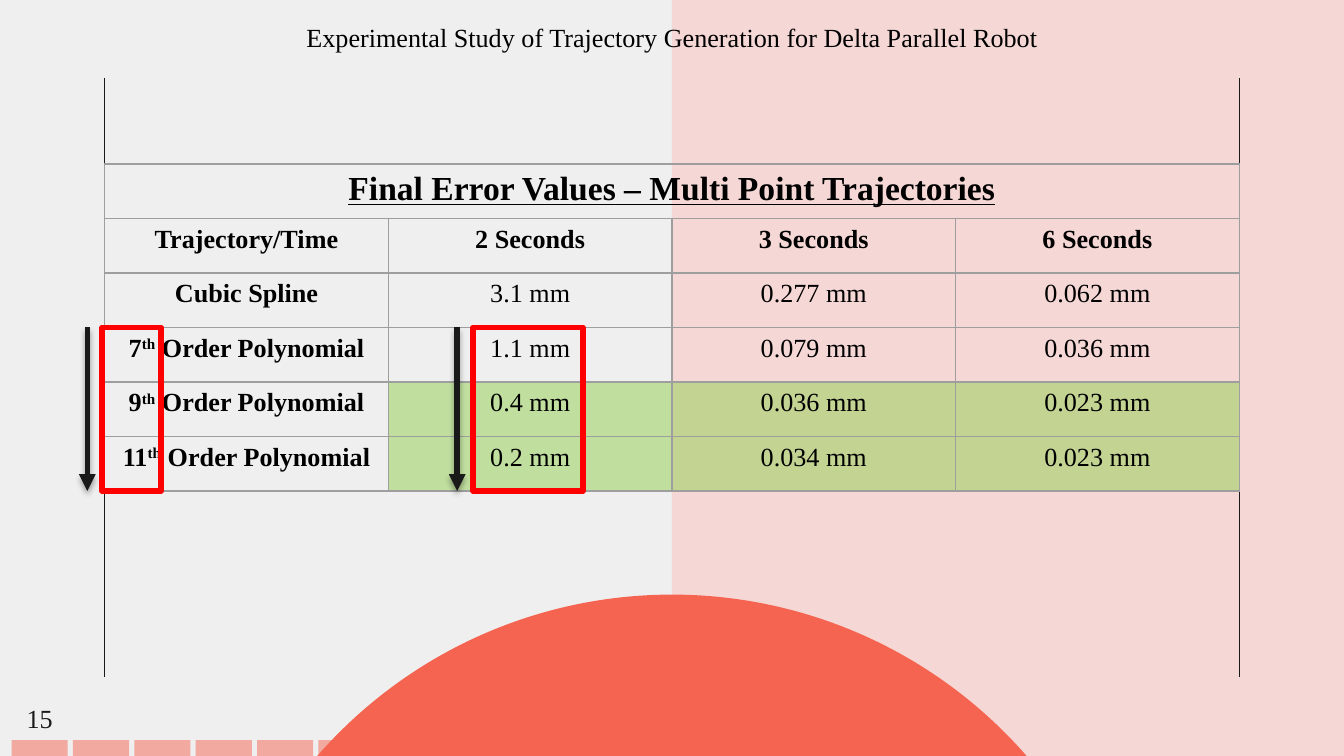
from dataclasses import dataclass

from lxml import etree
from pptx import Presentation
from pptx.dml.color import RGBColor
from pptx.enum import shapes, text
from pptx.oxml import ns, parse_xml
from pptx.util import Cm, Pt

FONT = "Times New Roman"
BLACK = RGBColor(0x00, 0x00, 0x00)
INK = RGBColor(0x19, 0x19, 0x19)
PALE = RGBColor(0xEF, 0xEF, 0xEF)
PINK = RGBColor(0xF5, 0xD7, 0xD5)
CORAL = RGBColor(0xF5, 0x64, 0x50)
GREEN = RGBColor(0x92, 0xD0, 0x50)
GREY = RGBColor(0x9E, 0x9E, 0x9E)
RED = RGBColor(0xFF, 0x00, 0x00)

WIDE, HIGH = 25.4, 14.29
LEFT, TOP = 1.98, 3.1
COL, ROW = 5.36, 1.03
BOTTOM = TOP + 6 * ROW
SHAPE = shapes.MSO_SHAPE


@dataclass
class Row:
    name: str
    cells: tuple[str, ...]
    power: str = ""
    head: bool = False
    best: bool = False


@dataclass
class Trend:
    arrow: float
    left: float
    width: float


ROWS = [
    Row("Trajectory/Time", ("2 Seconds", "3 Seconds", "6 Seconds"), head=True),
    Row("Cubic Spline", ("3.1 mm", "0.277 mm", "0.062 mm")),
    Row(" Order Polynomial", ("1.1 mm", "0.079 mm", "0.036 mm"), "7"),
    Row(" Order Polynomial", ("0.4 mm", "0.036 mm", "0.023 mm"), "9", best=True),
    Row(" Order Polynomial", ("0.2 mm", "0.034 mm", "0.023 mm"), "11", best=True),
]
TRENDS = [Trend(8.64, 8.94, 2.08), Trend(1.65, 1.93, 1.12)]


def fade(props) -> None:
    color = props.find(ns.qn("a:solidFill"))[0]
    etree.SubElement(color, ns.qn("a:alpha"), val="50000")


def draw(slide, kind, x: float, y: float, w: float, h: float,
         fill: RGBColor | None = None, line: RGBColor | None = None):
    shape = slide.shapes.add_shape(kind, Cm(x), Cm(y), Cm(w), Cm(h))
    shape.shadow.inherit = False
    if fill is None:
        shape.fill.background()
    else:
        shape.fill.solid()
        shape.fill.fore_color.rgb = fill
    if line is None:
        shape.line.fill.background()
    else:
        shape.line.color.rgb = line
        shape.line.width = Pt(3)
    return shape


def rule(slide, x: float, y: float, end: float, width: float, arrow: bool = False) -> None:
    line = slide.shapes.add_connector(
        shapes.MSO_CONNECTOR.STRAIGHT, Cm(x), Cm(y), Cm(x), Cm(end))
    line.line.color.rgb = INK
    line.line.width = Pt(width)
    props = line.element.spPr
    effect = etree.SubElement(props, ns.qn("a:effectLst"))
    if arrow:
        stroke = props.find(ns.qn("a:ln"))
        etree.SubElement(stroke, ns.qn("a:tailEnd"), type="triangle")
        shadow = etree.SubElement(
            effect, ns.qn("a:outerShdw"), blurRad="40000", dist="23000",
            dir="5400000", rotWithShape="0")
        color = etree.SubElement(shadow, ns.qn("a:srgbClr"), val=str(BLACK))
        etree.SubElement(color, ns.qn("a:alpha"), val="35000")


def write(frame, words: str, size: int = 14, bold: bool = False,
          line: bool = False, raised: bool = False, color: RGBColor = BLACK) -> None:
    para = frame.paragraphs[0]
    para.alignment = text.PP_ALIGN.CENTER
    run = para.add_run()
    run.text = words
    font = run.font
    font.name, font.size, font.bold, font.underline = FONT, Pt(size), bold, line
    font.color.rgb = color
    if raised:
        run._r.get_or_add_rPr().set("baseline", "30000")


def dress(cell, fill: RGBColor | None = None) -> None:
    props = cell._tc.get_or_add_tcPr()
    for side in "LRTB":
        props.append(parse_xml(
            f'<a:ln{side} {ns.nsdecls("a")} w="9525"><a:solidFill>'
            f'<a:srgbClr val="{GREY}"/></a:solidFill></a:ln{side}>'))
    if fill is None:
        cell.fill.background()
    else:
        cell.fill.solid()
        cell.fill.fore_color.rgb = fill
        fade(props)


def chart_table(slide) -> None:
    table = slide.shapes.add_table(
        6, 4, Cm(LEFT), Cm(TOP), Cm(4 * COL), Cm(6 * ROW)).table
    table.first_row = table.horz_banding = False
    for col in table.columns:
        col.width = Cm(COL)
    for row in table.rows:
        row.height = Cm(ROW)
    for cell in table.iter_cells():
        row, col = divmod(list(table.iter_cells()).index(cell), 4)
        best = row > 0 and col > 0 and ROWS[row - 1].best
        dress(cell, GREEN if best else None)
    table.cell(0, 0).merge(table.cell(0, 3))
    write(table.cell(0, 0).text_frame, "Final Error Values – Multi Point Trajectories",
          18, bold=True, line=True)
    for i, row in enumerate(ROWS, 1):
        frame = table.cell(i, 0).text_frame
        if row.power:
            write(frame, row.power, bold=True)
            write(frame, "th", bold=True, raised=True)
        write(frame, row.name, bold=True)
        for j, words in enumerate(row.cells, 1):
            write(table.cell(i, j).text_frame, words, bold=row.head)


def set_title(slide) -> None:
    title = slide.shapes.title
    title.left, title.top, title.width, title.height = Cm(5.28), Cm(0.28), Cm(14.86), Cm(0.86)
    frame = title.text_frame
    frame.word_wrap = True
    frame.auto_size = text.MSO_AUTO_SIZE.NONE
    frame.vertical_anchor = text.MSO_ANCHOR.MIDDLE
    write(frame, "Experimental Study of Trajectory Generation for Delta Parallel Robot")
    node = title.element
    node.getparent().append(node)


def number(slide) -> None:
    box = slide.shapes.add_textbox(Cm(0.22), Cm(13.15), Cm(1.06), Cm(0.86))
    frame = box.text_frame
    frame.word_wrap = True
    frame.margin_left = frame.margin_right = 0
    frame.vertical_anchor = text.MSO_ANCHOR.MIDDLE
    write(frame, "15", color=INK)


def main() -> None:
    deck = Presentation()
    deck.slide_width, deck.slide_height = Cm(WIDE), Cm(HIGH)
    slide = deck.slides.add_slide(deck.slide_layouts[5])
    back = slide.background.fill
    back.solid()
    back.fore_color.rgb = PALE
    draw(slide, SHAPE.RECTANGLE, WIDE / 2, 0, WIDE / 2, HIGH, PINK)
    for x in (LEFT + 4 * COL, LEFT):
        rule(slide, x, 1.47, 12.8, 0.75)
    draw(slide, SHAPE.OVAL, 3.81, 11.24, 17.78, 17.78, CORAL)
    set_title(slide)
    chart_table(slide)
    start = TOP + 3 * ROW
    for trend in TRENDS:
        rule(slide, trend.arrow, start, BOTTOM, 3, arrow=True)
        draw(slide, SHAPE.RECTANGLE, trend.left, start, trend.width, BOTTOM - start, line=RED)
    for i in range(8):
        tile = draw(slide, SHAPE.RECTANGLE, 0.22 + 1.16 * i, 13.99, 1.06, 0.3, CORAL)
        fade(tile.element.spPr)
    number(slide)
    deck.save("out.pptx")


if __name__ == "__main__":
    main()
